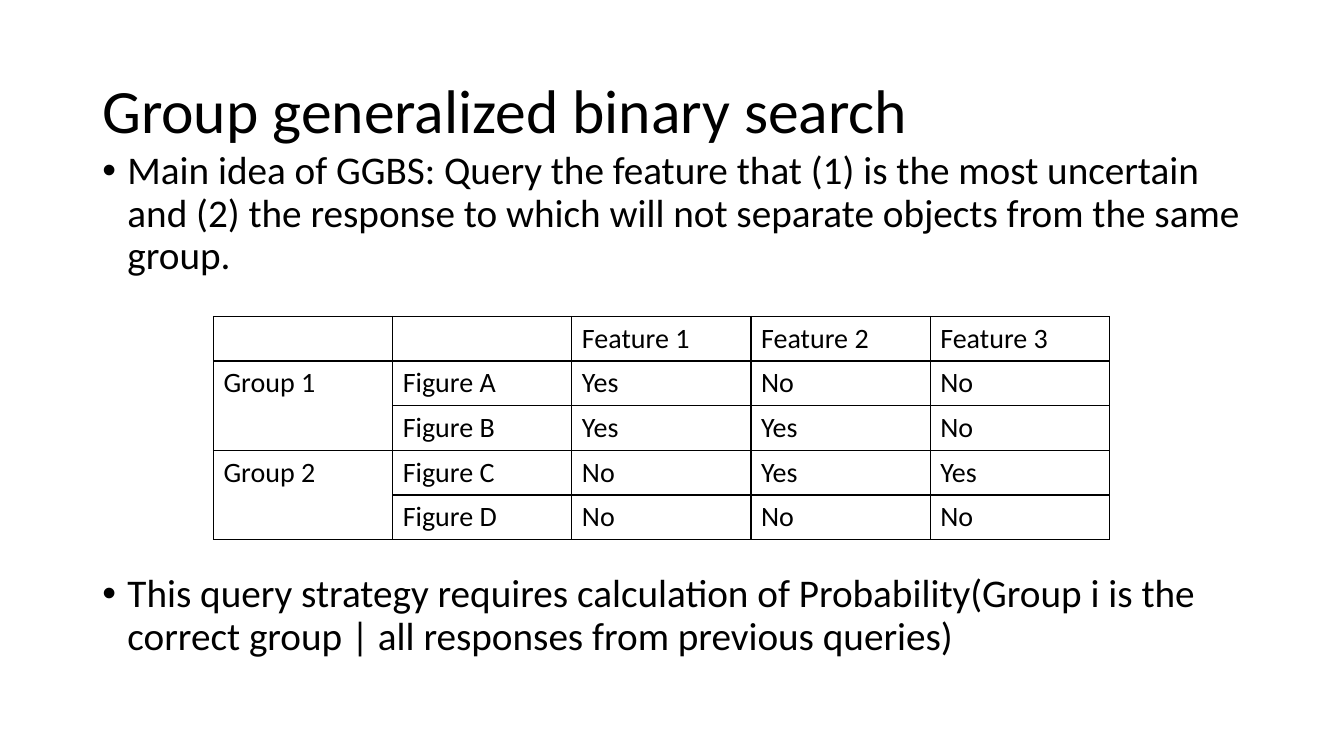
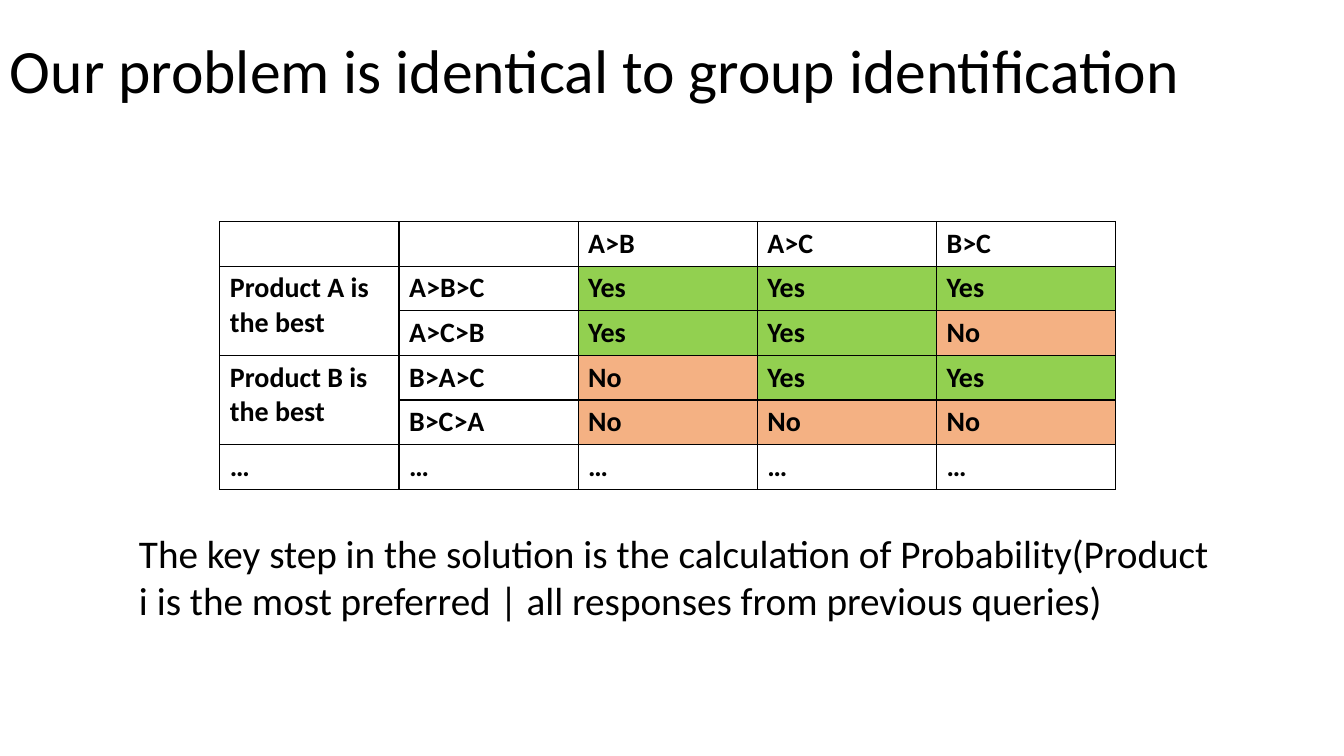
"""Build two slides on group identification, each with a feature table."""
from pptx import Presentation
from pptx.dml.color import RGBColor as Color
from pptx.enum.text import MSO_ANCHOR as Anchor
from pptx.oxml import parse_xml
from pptx.oxml.ns import nsdecls
from pptx.util import Pt

COLORS = {"ink": "000000", "Yes": "92D050", "No": "F4B183"}
FONT = "Calibri"
COLUMN_WIDTH, ROW_HEIGHT = 128, 31.9


def write(frame, text, size, bold=False, spacing=None, anchor=Anchor.TOP, bullet=False):
    frame.word_wrap = True
    frame.vertical_anchor = anchor
    para = frame.paragraphs[0]
    if spacing:
        para.line_spacing = spacing
    if bullet:
        props = para._p.get_or_add_pPr()
        props.set("marL", str(Pt(18)))
        props.set("indent", str(-Pt(18)))
        props.append(parse_xml(f'<a:buFont {nsdecls("a")} typeface="Arial"/>'))
        props.append(parse_xml(f'<a:buChar {nsdecls("a")} char="•"/>'))
    span = para.add_run()
    span.text = text
    span.font.name = FONT
    span.font.size = Pt(size)
    span.font.bold = bold
    span.font.color.rgb = Color.from_string(COLORS["ink"])


def add_grid(page, left, top, rows, bold=False, colored=False):
    count = len(rows[0])
    table = page.shapes.add_table(
        len(rows), count, Pt(left), Pt(top),
        Pt(COLUMN_WIDTH * count), Pt(ROW_HEIGHT * len(rows))).table
    table.first_row = table.horz_banding = False
    for row, values in enumerate(rows):
        for column, value in enumerate(values):
            cell = table.cell(row, column)
            if colored and value in COLORS:
                cell.fill.solid()
                cell.fill.fore_color.rgb = Color.from_string(COLORS[value])
            else:
                cell.fill.background()
            for position, side in enumerate("LRTB"):
                cell._tc.get_or_add_tcPr().insert(position, parse_xml(
                    f'<a:ln{side} {nsdecls("a")} w="{Pt(1)}"><a:solidFill>'
                    f'<a:srgbClr val="{COLORS["ink"]}"/></a:solidFill></a:ln{side}>'))
            if value is None:
                table.cell(row - 1, column).merge(cell)
            elif value:
                write(cell.text_frame, value, 20, bold=bold)


deck = Presentation()
deck.slide_width, deck.slide_height = Pt(960), Pt(540)

title = {"size": 44, "spacing": 0.9, "anchor": Anchor.MIDDLE}
point = {"size": 28, "spacing": 0.9, "bullet": True}
slides = [
    {
        "texts": [
            ("Group generalized binary search", (66, 28.8, 828, 104.4), title),
            ("Main idea of GGBS: Query the feature that (1) is the most uncertain and (2) "
             "the response to which will not separate objects from the same group.",
             (66, 104.4, 828, 100), point),
            ("This query strategy requires calculation of Probability(Group i is the "
             "correct group | all responses from previous queries)",
             (66, 406.5, 828, 72), point),
        ],
        "grid": {"left": 152.5, "top": 226, "rows": [
            ["", "", "Feature 1", "Feature 2", "Feature 3"],
            ["Group 1", "Figure A", "Yes", "No", "No"],
            [None, "Figure B", "Yes", "Yes", "No"],
            ["Group 2", "Figure C", "No", "Yes", "Yes"],
            [None, "Figure D", "No", "No", "No"],
        ]},
    },
    {
        "texts": [
            ("Our problem is identical to group identification", (0, 0, 862, 104.4), title),
            ("The key step in the solution is the calculation of Probability(Product i is "
             "the most preferred | all responses from previous queries)",
             (92.2, 374.4, 789, 75), {"size": 28}),
        ],
        "grid": {"left": 157, "top": 158.2, "bold": True, "colored": True, "rows": [
            ["", "", "A>B", "A>C", "B>C"],
            ["Product A is the best", "A>B>C", "Yes", "Yes", "Yes"],
            [None, "A>C>B", "Yes", "Yes", "No"],
            ["Product B is the best", "B>A>C", "No", "Yes", "Yes"],
            [None, "B>C>A", "No", "No", "No"],
            ["…"] * 5,
        ]},
    },
]

for content in slides:
    page = deck.slides.add_slide(deck.slide_layouts[6])
    for text, place, style in content["texts"]:
        box = page.shapes.add_textbox(*[Pt(length) for length in place])
        write(box.text_frame, text, **style)
    add_grid(page, **content["grid"])

deck.save("out.pptx")
